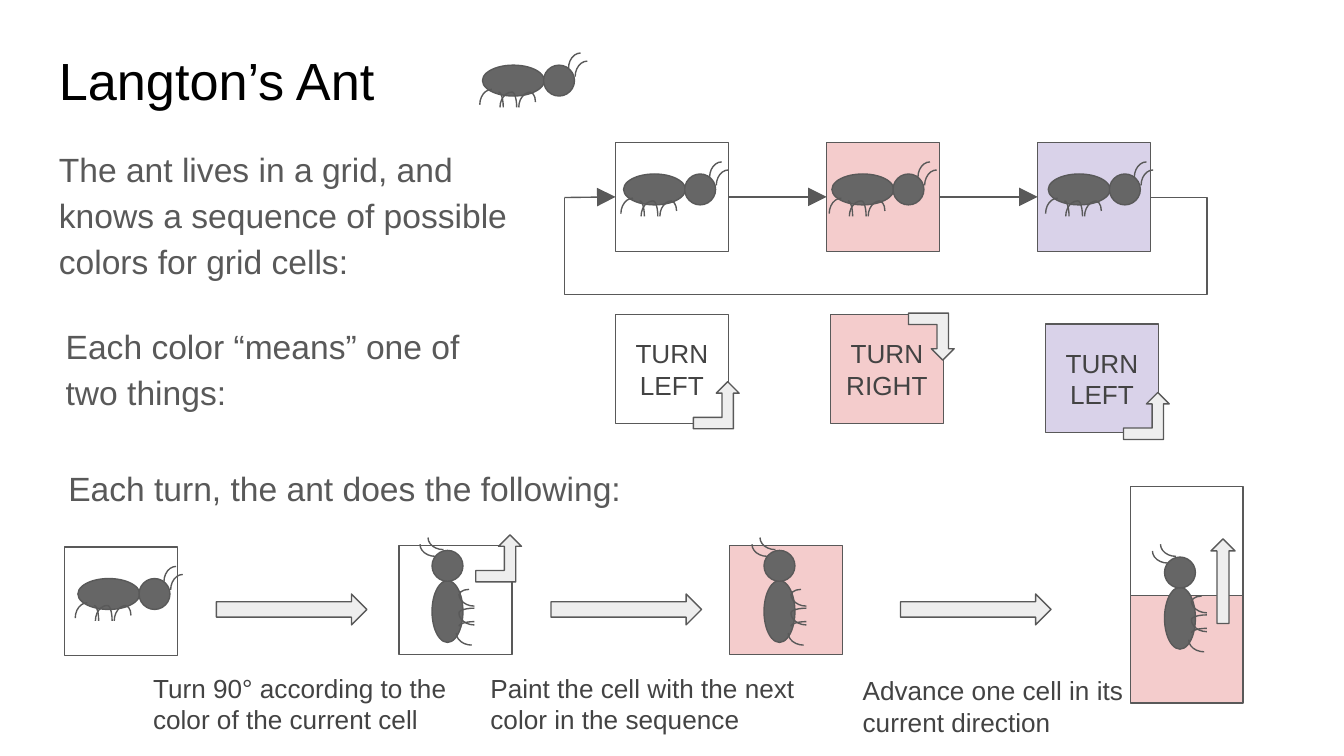
from dataclasses import dataclass
from typing import NamedTuple

from lxml.etree import SubElement
from pptx import Presentation
from pptx.dml.color import RGBColor
from pptx.enum.shapes import MSO_CONNECTOR as Connector
from pptx.enum.shapes import MSO_SHAPE as Preset
from pptx.enum.text import MSO_ANCHOR as Anchor
from pptx.enum.text import PP_ALIGN as Align
from pptx.oxml.ns import qn
from pptx.util import Inches, Pt


@dataclass(frozen=True)
class Theme:
    font: str = "Arial"
    title_size: int = 28
    body_size: int = 18
    label_size: int = 14
    title_color: str = "000000"
    body_color: str = "595959"
    label_color: str = "434343"
    outline: str = "595959"
    outline_width: float = 0.75
    ant: str = "666666"
    arrow: str = "EEEEEE"
    white: str = "FFFFFF"
    pink: str = "F4CCCC"
    lilac: str = "D9D2E9"


class Box(NamedTuple):
    left: float
    top: float
    width: float
    height: float


class Cell(NamedTuple):
    left: float
    top: float
    color: str
    label: str = ""


class AntPart(NamedTuple):
    preset: Preset
    dx: float
    dy: float
    width: float
    height: float
    flipped: bool = False


class Ant(NamedTuple):
    x: float
    y: float
    facing_up: bool = False


class Note(NamedTuple):
    text: str
    box: Box
    size: int
    color: str
    line_spacing: float = 1.0
    space_after: int = 0


THEME = Theme()
CELL_WIDTH, CELL_HEIGHT = 0.84, 0.81
SEQUENCE_TOP, STEP_TOP = 1.06, 4.06
SEQUENCE_MIDDLE = 1.47

ANT_PARTS = [
    AntPart(Preset.OVAL, 0, 0, 0.46, 0.23),
    AntPart(Preset.OVAL, 0.34, 0, 0.23, 0.23),
    AntPart(Preset.ARC, 0.13, 0.16, 0.07, 0.14),
    AntPart(Preset.ARC, -0.01, 0.2, 0.07, 0.23),
    AntPart(Preset.ARC, -0.16, 0.18, 0.18, 0.23, True),
    AntPart(Preset.ARC, 0.5, -0.09, 0.18, 0.23, True),
    AntPart(Preset.ARC, 0.55, -0.03, 0.18, 0.23, True),
    AntPart(Preset.ARC, -0.11, 0.2, 0.07, 0.23),
    AntPart(Preset.ARC, -0.01, 0.2, 0.18, 0.23, True),
    AntPart(Preset.ARC, 0.13, 0.2, 0.18, 0.23, True),
]
ANTS = [
    Ant(3.82, 0.6), Ant(4.87, 1.41), Ant(6.42, 1.41), Ant(8.03, 1.41), Ant(0.81, 4.42),
    Ant(3.33, 4.55, True), Ant(5.8, 4.55, True), Ant(8.78, 4.6, True),
]
SEQUENCE_CELLS = [
    Cell(4.58 + 1.57 * step, SEQUENCE_TOP, color)
    for step, color in enumerate([THEME.white, THEME.pink, THEME.lilac])
]
OTHER_CELLS = [
    Cell(4.58, 2.34, THEME.white, "TURN\nLEFT"),
    Cell(6.18, 2.34, THEME.pink, "TURN\nRIGHT"),
    Cell(7.78, 2.41, THEME.lilac, "TURN\nLEFT"),
    Cell(0.48, 4.07, THEME.white),
    Cell(2.97, STEP_TOP, THEME.white),
    Cell(5.43, STEP_TOP, THEME.pink),
    Cell(8.41, 4.42, THEME.pink),
    Cell(8.41, 3.62, THEME.white),
]


def body(text: str, box: Box) -> Note:
    return Note(text, box, THEME.body_size, THEME.body_color, 1.15, 16)


def caption(text: str, box: Box) -> Note:
    return Note(text, box, THEME.label_size, THEME.label_color)


NOTES = [
    Note("Langton’s Ant", Box(0.34, 0.26, 2.8, 0.63), THEME.title_size, THEME.title_color),
    body("The ant lives in a grid, and knows a sequence of possible colors for grid cells:",
         Box(0.34, 0.96, 3.64, 1.08)),
    body("Each color “means” one of two things:", Box(0.39, 2.28, 3.48, 0.87)),
    body("Each turn, the ant does the following:", Box(0.41, 3.34, 8.7, 0.5)),
    caption("Turn 90° according to the color of the current cell", Box(1.04, 4.9, 2.42, 0.54)),
    caption("Paint the cell with the next color in the sequence", Box(3.55, 4.9, 2.48, 0.54)),
    caption("Advance one cell in its\ncurrent direction", Box(6.32, 4.92, 2.48, 0.54)),
]


def set_outline(item) -> None:
    item.line.color.rgb = RGBColor.from_string(THEME.outline)
    item.line.width = Pt(THEME.outline_width)


def set_text(shape, text: str, size: int, color: str):
    frame = shape.text_frame
    frame.text = text
    frame.word_wrap = True
    frame.margin_left = frame.margin_right = Inches(0.1)
    frame.margin_top = frame.margin_bottom = Inches(0.1)
    for paragraph in frame.paragraphs:
        for run in paragraph.runs:
            run.font.name = THEME.font
            run.font.size = Pt(size)
            run.font.color.rgb = RGBColor.from_string(color)
    return frame


def draw_shape(slide, preset: Preset, box: Box, color: str | None,
               rotation: int = 0, flipped: bool = False):
    shape = slide.shapes.add_shape(preset, *map(Inches, box))
    shape.shadow.inherit = False
    shape.rotation = rotation
    set_outline(shape)
    if color is None:
        shape.fill.background()
    else:
        shape.fill.solid()
        shape.fill.fore_color.rgb = RGBColor.from_string(color)
    if flipped:
        shape._element.spPr.get_or_add_xfrm().set("flipH", "1")
    return shape


def draw_cell(slide, cell: Cell):
    box = Box(cell.left, cell.top, CELL_WIDTH, CELL_HEIGHT)
    shape = draw_shape(slide, Preset.RECTANGLE, box, cell.color)
    if cell.label:
        frame = set_text(shape, cell.label, THEME.label_size, THEME.label_color)
        frame.vertical_anchor = Anchor.MIDDLE
        for paragraph in frame.paragraphs:
            paragraph.alignment = Align.CENTER
    return shape


def draw_ant(slide, ant: Ant) -> None:
    for part in ANT_PARTS:
        dx, dy = (part.dy, -part.dx) if ant.facing_up else (part.dx, part.dy)
        box = Box(ant.x + dx - part.width / 2, ant.y + dy - part.height / 2,
                  part.width, part.height)
        color = THEME.ant if part.preset == Preset.OVAL else None
        draw_shape(slide, part.preset, box, color, 270 if ant.facing_up else 0, part.flipped)


def draw_note(slide, note: Note) -> None:
    text_box = slide.shapes.add_textbox(*map(Inches, note.box))
    for paragraph in set_text(text_box, note.text, note.size, note.color).paragraphs:
        paragraph.line_spacing = note.line_spacing
        paragraph.space_after = Pt(note.space_after)


def draw_link(slide, start: float, target, source=None) -> None:
    y = Inches(SEQUENCE_MIDDLE)
    link = slide.shapes.add_connector(Connector.STRAIGHT, Inches(start), y, target.left, y)
    if source is not None:
        link.begin_connect(source, 3)
    link.end_connect(target, 1)
    set_outline(link)
    SubElement(link.line._get_or_add_ln(), qn("a:tailEnd"), type="triangle", w="lg", len="lg")
    SubElement(link._element.spPr, qn("a:effectLst"))


def draw_loop(slide) -> None:
    points = [(8.56, SEQUENCE_MIDDLE), (8.98, SEQUENCE_MIDDLE), (8.98, 2.19),
              (4.2, 2.19), (4.2, SEQUENCE_MIDDLE)]
    corners = [(Inches(x), Inches(y)) for x, y in points]
    builder = slide.shapes.build_freeform(*corners[0])
    builder.add_line_segments(corners[1:], close=False)
    loop = builder.convert_to_shape()
    loop.shadow.inherit = False
    loop.fill.background()
    set_outline(loop)


def main() -> None:
    presentation = Presentation()
    presentation.slide_width = Inches(10)
    presentation.slide_height = presentation.slide_width * 9 // 16
    slide = presentation.slides.add_slide(presentation.slide_layouts[6])

    sequence = [draw_cell(slide, cell) for cell in SEQUENCE_CELLS]
    for cell in OTHER_CELLS:
        draw_cell(slide, cell)
    draw_loop(slide)
    draw_link(slide, 4.2, sequence[0])
    for source, target in zip(sequence, sequence[1:]):
        draw_link(slide, 0, target, source)
    for ant in ANTS:
        draw_ant(slide, ant)
    for left, top in [(5.16, 2.84), (8.36, 2.92), (3.54, 3.98)]:
        draw_shape(slide, Preset.BENT_UP_ARROW, Box(left, top, 0.34, 0.35), THEME.arrow)
    draw_shape(slide, Preset.BENT_UP_ARROW, Box(6.76, 2.33, 0.34, 0.35), THEME.arrow, 180, True)
    for left in (1.61, 4.1, 6.7):
        draw_shape(slide, Preset.RIGHT_ARROW, Box(left, 4.42, 1.12, 0.23), THEME.arrow)
    draw_shape(slide, Preset.UP_ARROW, Box(9.01, 4.01, 0.18, 0.63), THEME.arrow)
    for note in NOTES:
        draw_note(slide, note)
    presentation.save("out.pptx")


if __name__ == "__main__":
    main()
